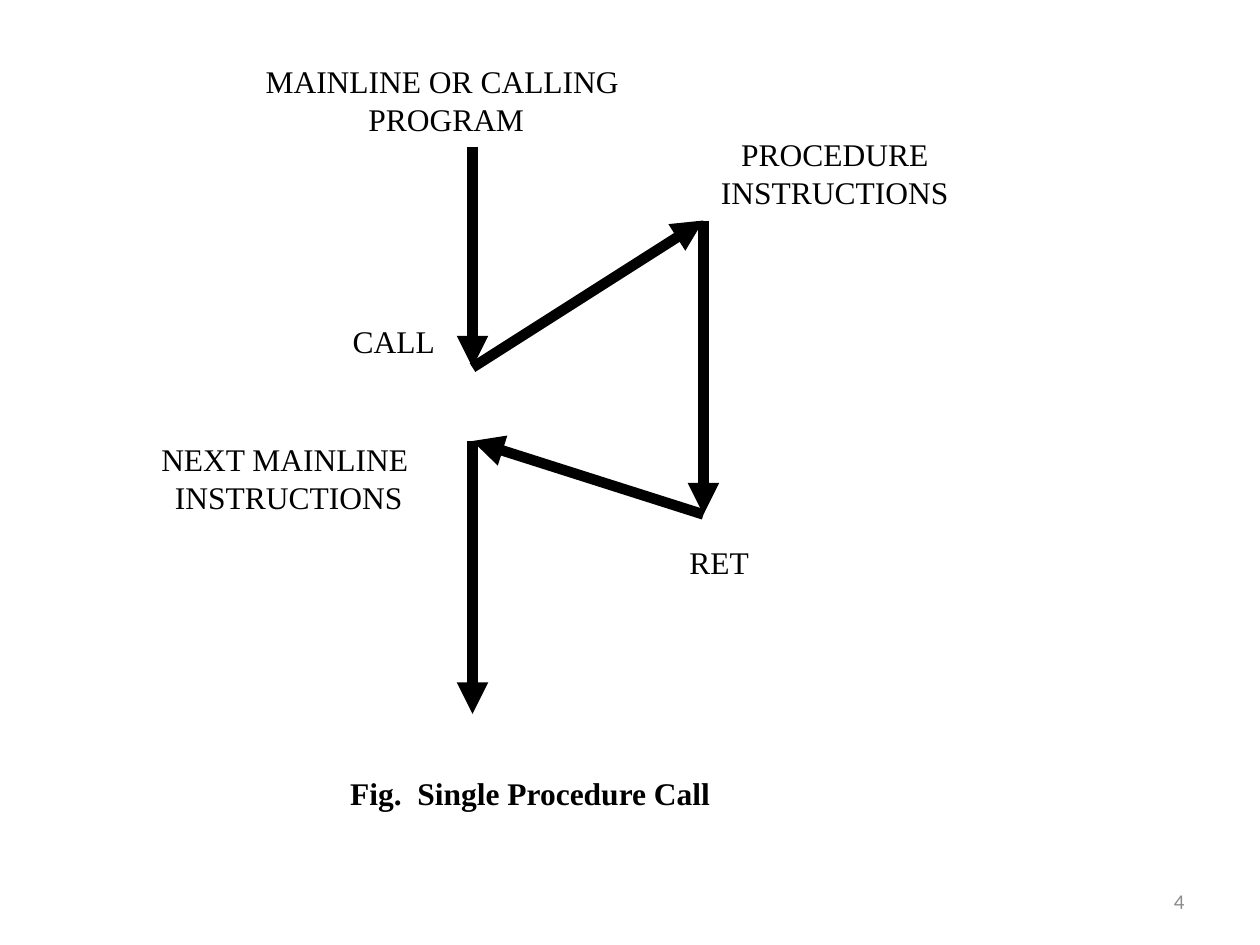
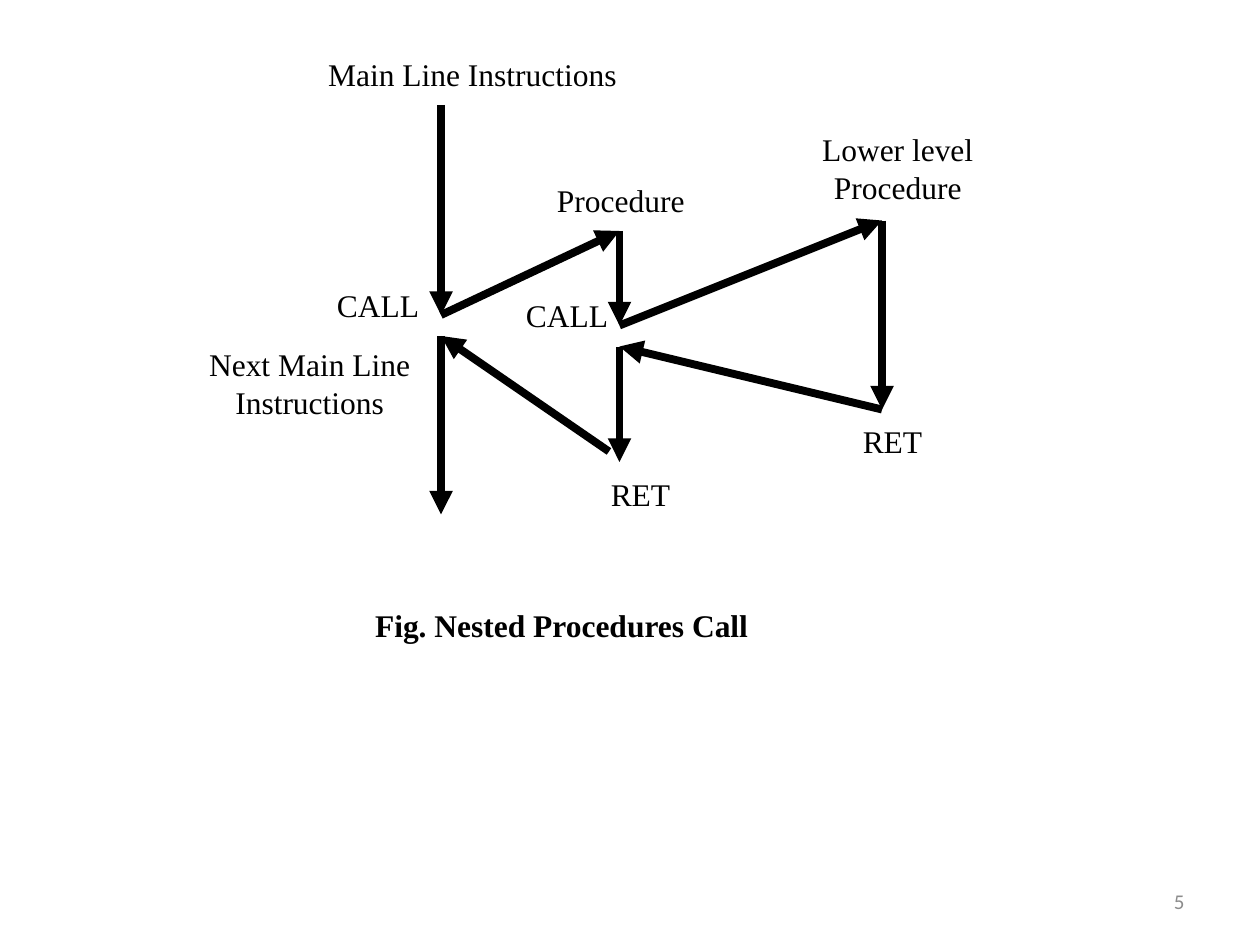
from lxml.etree import SubElement
from pptx import Presentation
from pptx.dml.color import RGBColor
from pptx.enum.shapes import MSO_CONNECTOR as Connector
from pptx.enum.text import MSO_ANCHOR as Anchor, PP_ALIGN as Align
from pptx.oxml.ns import qn
from pptx.util import Inches, Pt

COLORS = {"ink": "000000", "number": "8C8C8C"}
LABEL = {"name": "Times New Roman", "size": Pt(18), "bold": False}
CAPTION = {**LABEL, "bold": True}
NUMBER = {"name": "Calibri", "size": Pt(12), "bold": False}
LABEL_FRAME = {"word_wrap": False, "vertical_anchor": Anchor.MIDDLE,
               "margin_left": 0, "margin_right": 0}
NUMBER_FRAME = {"word_wrap": True, "vertical_anchor": Anchor.MIDDLE}

deck = Presentation()
deck.slide_width, deck.slide_height = Inches(10), Inches(7.5)
COLUMN = deck.slide_width / 120
ROW = deck.slide_height / 90


def add_text(page, cell, lines, style, color="ink", align=Align.CENTER, layout=LABEL_FRAME):
    column, row, columns, rows = cell
    box = page.shapes.add_textbox(
        int(column * COLUMN), int(row * ROW), int(columns * COLUMN), int(rows * ROW))
    frame = box.text_frame
    for attribute, value in layout.items():
        setattr(frame, attribute, value)
    for index, line in enumerate(lines):
        para = frame.add_paragraph() if index else frame.paragraphs[0]
        para.alignment = align
        span = para.add_run()
        span.text = line
        for attribute, value in style.items():
            setattr(span.font, attribute, value)
        span.font.color.rgb = RGBColor.from_string(COLORS[color])


def add_arrow(page, start, end, width):
    arrow = page.shapes.add_connector(
        Connector.STRAIGHT, int(start[0] * COLUMN), int(start[1] * ROW),
        int(end[0] * COLUMN), int(end[1] * ROW))
    arrow.line.width = Pt(width)
    arrow.line.color.rgb = RGBColor.from_string(COLORS["ink"])
    properties = arrow._element.spPr
    SubElement(properties.find(qn("a:ln")), qn("a:tailEnd"), type="triangle")
    SubElement(properties, qn("a:effectLst"))


MAIN, PROCEDURE = 45, 67
single_call = {
    "number": "4",
    "width": 6,
    "arrows": [
        ((MAIN, 14), (MAIN, 35)),
        ((MAIN, 35), (PROCEDURE, 21)),
        ((PROCEDURE, 21), (PROCEDURE, 49)),
        ((PROCEDURE, 49), (MAIN, 42)),
        ((MAIN, 42), (MAIN, 68)),
    ],
    "labels": [
        ((25, 6, 35, 7), ["MAINLINE OR CALLING ", "PROGRAM"]),
        ((64, 13, 31, 7), ["PROCEDURE", "INSTRUCTIONS"]),
        ((31, 29, 13, 7), ["CALL"]),
        ((12, 42, 31, 7), ["NEXT MAINLINE ", "INSTRUCTIONS"]),
        ((63, 50, 11, 7), ["RET"]),
    ],
    "caption": ((24, 73, 53, 5), ["Fig.  Single Procedure Call"]),
}

MAIN, PROCEDURE, LOWER = 42, 59, 84
nested_calls = {
    "number": "5",
    "width": 4.5,
    "arrows": [
        ((MAIN, 10), (MAIN, 30)),
        ((MAIN, 30), (PROCEDURE, 22)),
        ((PROCEDURE, 22), (PROCEDURE, 31)),
        ((PROCEDURE, 31), (LOWER, 21)),
        ((LOWER, 21), (LOWER, 39)),
        ((LOWER, 39), (PROCEDURE, 33)),
        ((PROCEDURE, 33), (PROCEDURE, 44)),
        ((PROCEDURE - 1, 43), (MAIN, 32)),
        ((MAIN, 32), (MAIN, 49)),
    ],
    "labels": [
        ((31, 5, 28, 4), ["Main Line Instructions"]),
        ((52, 17, 15, 4), ["Procedure "]),
        ((75, 12, 21, 8), ["Lower level", "Procedure"]),
        ((32, 27, 8, 4), ["CALL"]),
        ((50, 28, 8, 4), ["CALL"]),
        ((18, 33, 23, 7), ["Next Main Line", "Instructions"]),
        ((79, 40, 12, 4), ["RET"]),
        ((55, 45, 12, 4), ["RET"]),
    ],
    "caption": ((27, 57, 53, 5), ["Fig. Nested Procedures Call"]),
}

for diagram in (single_call, nested_calls):
    page = deck.slides.add_slide(deck.slide_layouts[6])
    add_text(page, (86, 83.4, 28, 4.8), [diagram["number"]], NUMBER,
             "number", Align.RIGHT, NUMBER_FRAME)
    for start, end in diagram["arrows"]:
        add_arrow(page, start, end, diagram["width"])
    for cell, lines in diagram["labels"]:
        add_text(page, cell, lines, LABEL)
    add_text(page, *diagram["caption"], CAPTION)

deck.save("out.pptx")
